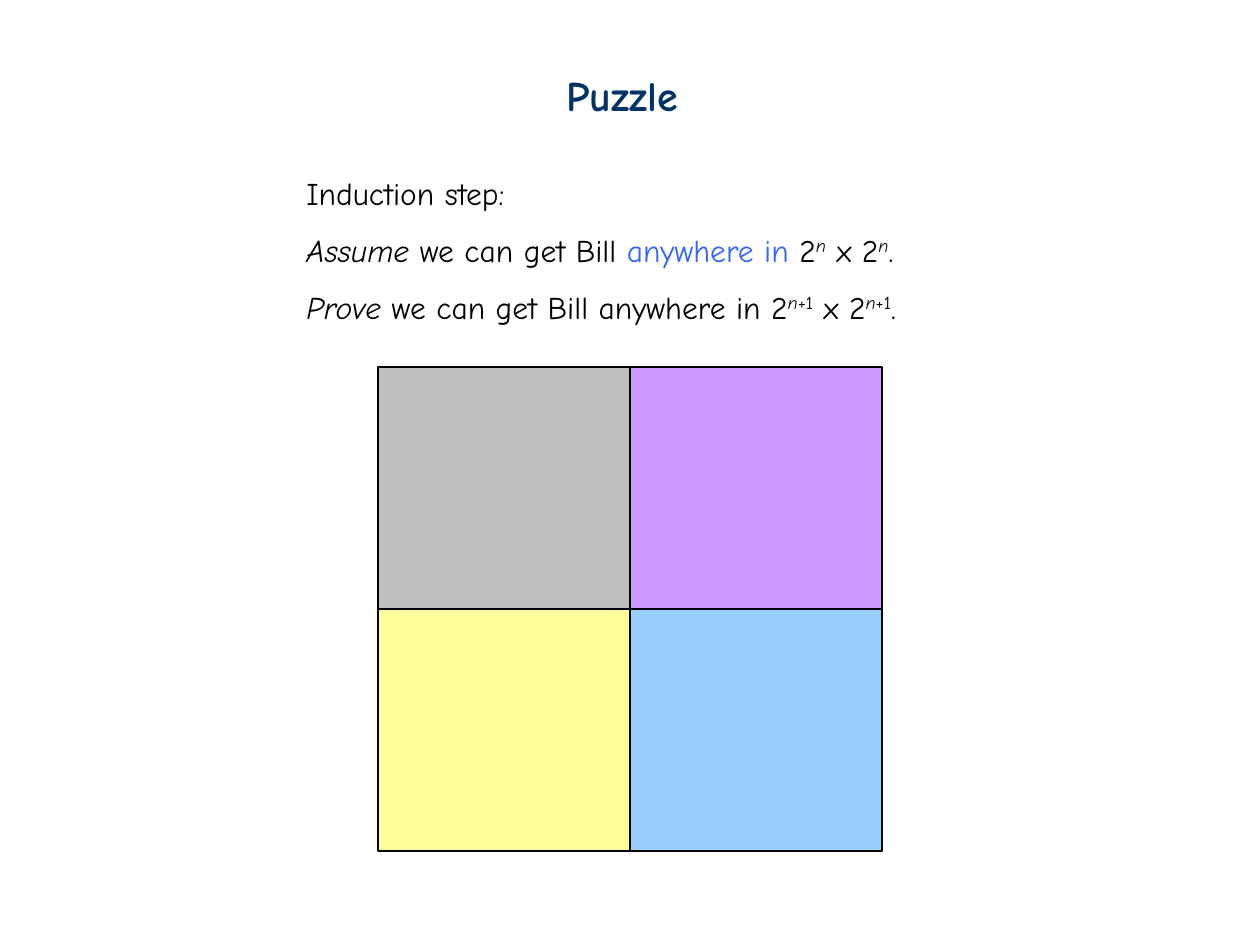
from dataclasses import dataclass

from pptx import Presentation
from pptx.dml.color import RGBColor
from pptx.enum.shapes import MSO_SHAPE
from pptx.util import Pt

PX = 914400 / 126  # EMU in one px


@dataclass(frozen=True)
class Theme:
    font: str = "Comic Neue"
    title: str = "003366"
    text: str = "000000"
    accent: str = "3366FF"
    title_size: int = 24
    body_size: int = 18
    line_width: float = 0.75


THEME = Theme()

# Content: each paragraph is a list of (text, styles)
TITLE = [[("Puzzle", "")]]
STEPS = [
    [("Induction step:", "")],
    [("Assume ", "italic"), ("we can get Bill ", ""), ("anywhere in ", "accent"),
     ("2", ""), ("n", "italic super"), (" x 2", ""), ("n", "italic super"), (".", "")],
    [("Prove", "italic"), (" we can get Bill anywhere in 2", ""),
     ("n", "italic super"), ("+1", "super"), (" x 2", ""),
     ("n", "italic super"), ("+1", "super"), (".", "")],
]
QUADRANTS = [["C0C0C0", "CC99FF"], ["FFFF99", "99CCFF"]]

# Layout in px: left, top, width, height
TITLE_BOX = (554, 63, 150, 63)
STEPS_BOX = (294, 168, 663, 164)
GRID_LEFT, GRID_TOP = 378, 367
CELL_WIDTH, CELL_HEIGHT = 252, 242


def emu(*lengths):
    return [round(length * PX) for length in lengths]


def add_text(slide, box, paragraphs, size, color, bold=False, spacing=1.0):
    frame = slide.shapes.add_textbox(*emu(*box)).text_frame
    frame.word_wrap = True
    for index, runs in enumerate(paragraphs):
        paragraph = frame.add_paragraph() if index else frame.paragraphs[0]
        if index:
            paragraph.line_spacing = spacing
        paragraph.font.name = THEME.font
        paragraph.font.size = Pt(size)
        paragraph.font.bold = bold
        paragraph.font.color.rgb = RGBColor.from_string(color)
        for text, styles in runs:
            run = paragraph.add_run()
            run.text = text
            if "italic" in styles:
                run.font.italic = True
            if "accent" in styles:
                run.font.color.rgb = RGBColor.from_string(THEME.accent)
            if "super" in styles:
                run._r.get_or_add_rPr().set("baseline", "30000")


def add_quadrant(slide, row, column, color):
    left = GRID_LEFT + column * CELL_WIDTH
    top = GRID_TOP + row * CELL_HEIGHT
    shape = slide.shapes.add_shape(
        MSO_SHAPE.RECTANGLE, *emu(left, top, CELL_WIDTH, CELL_HEIGHT))
    shape.shadow.inherit = False
    shape.fill.solid()
    shape.fill.fore_color.rgb = RGBColor.from_string(color)
    shape.line.color.rgb = RGBColor.from_string(THEME.text)
    shape.line.width = Pt(THEME.line_width)


def main():
    presentation = Presentation()
    presentation.slide_width, presentation.slide_height = emu(1260, 945)
    slide = presentation.slides.add_slide(presentation.slide_layouts[6])

    # Board split into four quadrants
    for row, colors in enumerate(QUADRANTS):
        for column, color in enumerate(colors):
            add_quadrant(slide, row, column, color)

    # Induction step and title
    add_text(slide, STEPS_BOX, STEPS, THEME.body_size, THEME.text, spacing=1.5)
    add_text(slide, TITLE_BOX, TITLE, THEME.title_size, THEME.title, bold=True)

    presentation.save("out.pptx")


if __name__ == "__main__":
    main()
